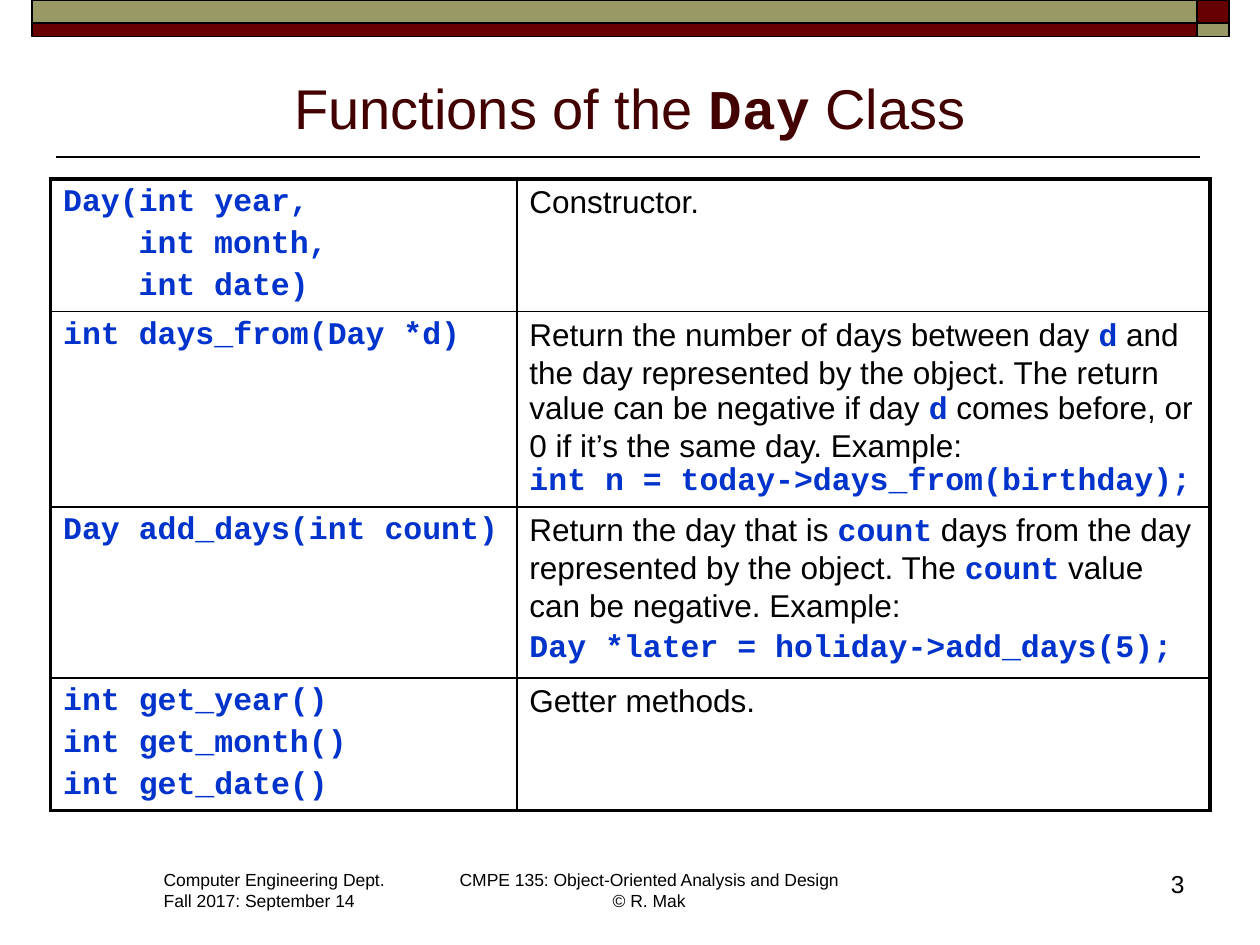
from dataclasses import dataclass

from lxml.etree import SubElement
from pptx import Presentation
from pptx.dml.color import RGBColor
from pptx.enum.shapes import MSO_CONNECTOR, MSO_SHAPE
from pptx.enum.text import MSO_ANCHOR, MSO_AUTO_SIZE, PP_ALIGN
from pptx.oxml.ns import qn
from pptx.util import Cm, Pt

COLORS = {"maroon": "660000", "olive": "999966", "title": "420000",
          "code": "0033CC", "text": "000000"}
CODE_INDENT = Cm(1.52)  # four characters of 18 pt code
THIN, THICK = 1, 2.25


@dataclass
class Span:
    text: str
    code: bool = False
    breaks: bool = False  # a line break follows


@dataclass
class Line:
    spans: list[Span]
    indented: bool = False


@dataclass
class FunctionRow:
    height: float
    signature: list[Line]
    description: list[Line]


@dataclass
class Footer:
    left: float
    width: float
    height: float
    size: float
    align: PP_ALIGN
    paragraphs: list[list[Span]]
    wrap: bool = False


def code(text: str, indented: bool = False) -> Line:
    return Line([Span(text, True)], indented)


FUNCTIONS = [
    FunctionRow(2.67,
                [code("Day(int year,"), code("int month,", True), code("int date)", True)],
                [Line([Span("Constructor.")])]),
    FunctionRow(3.94,
                [code("int days_from(Day *d)")],
                [Line([Span("Return the number of days between day "), Span("d", True),
                       Span(" and the day represented by the object. The return value "
                            "can be negative if day "), Span("d", True),
                       Span(" comes before, or 0 if it’s the same day. Example:", breaks=True),
                       Span("int n = today->days_from(birthday);", True)])]),
    FunctionRow(3.45,
                [code("Day add_days(int count)")],
                [Line([Span("Return the day that is "), Span("count", True),
                       Span(" days from the day represented by the object. The "),
                       Span("count", True), Span(" value can be negative. Example:")]),
                 code("Day *later = holiday->add_days(5);")]),
    FunctionRow(2.67,
                [code("int get_year()"), code("int get_month()"), code("int get_date()")],
                [Line([Span("Getter methods.")])]),
]

FOOTERS = [
    Footer(3.05, 5, 1.12, 10, PP_ALIGN.LEFT,
           [[Span("Computer Engineering Dept.")], [Span("Fall 2017: September 14")]]),
    Footer(8.97, 8.23, 1.12, 10, PP_ALIGN.CENTER,
           [[Span("CMPE 135: Object-Oriented Analysis and Design", breaks=True),
             Span("© R. Mak")]]),
    Footer(18.85, 5.28, 1.27, 14, PP_ALIGN.RIGHT, [[Span("3")]], wrap=True),
]


def rgb(name: str) -> RGBColor:
    return RGBColor.from_string(COLORS[name])


def add_spans(paragraph, spans: list[Span], size: float,
              color: str = "text", code_color: str = "code") -> None:
    for span in spans:
        run = paragraph.add_run()
        run.text = span.text
        run.font.size = Pt(size)
        run.font.bold = span.code
        run.font.name = "Courier New" if span.code else "Arial"
        run.font.color.rgb = rgb(code_color if span.code else color)
        if span.breaks:
            paragraph.add_line_break()


def add_bar(slide, left: float, top: float, width: float, height: float, color: str) -> None:
    bar = slide.shapes.add_shape(MSO_SHAPE.RECTANGLE, Cm(left), Cm(top), Cm(width), Cm(height))
    bar.shadow.inherit = False
    bar.fill.solid()
    bar.fill.fore_color.rgb = rgb(color)
    bar.line.color.rgb = rgb("text")
    bar.line.width = Pt(1)


def add_footer(slide, footer: Footer) -> None:
    box = slide.shapes.add_textbox(Cm(footer.left), Cm(17.4), Cm(footer.width), Cm(footer.height))
    frame = box.text_frame
    frame.word_wrap = footer.wrap
    for index, spans in enumerate(footer.paragraphs):
        paragraph = frame.add_paragraph() if index else frame.paragraphs[0]
        paragraph.alignment = footer.align
        add_spans(paragraph, spans, footer.size)


def set_borders(cell, widths: dict[str, float]) -> None:
    properties = cell._tc.get_or_add_tcPr()
    for side, width in widths.items():
        border = SubElement(properties, qn(f"a:ln{side}"), w=str(int(Pt(width))))
        fill = SubElement(border, qn("a:solidFill"))
        SubElement(fill, qn("a:srgbClr"), val=COLORS["text"])


def fill_cell(cell, lines: list[Line]) -> None:
    for index, line in enumerate(lines):
        frame = cell.text_frame
        paragraph = frame.add_paragraph() if index else frame.paragraphs[0]
        paragraph.space_before = Pt(3.6)
        if line.indented:
            paragraph._p.get_or_add_pPr().set("marL", str(int(CODE_INDENT)))
        add_spans(paragraph, line.spans, 18)


def add_function_table(slide, functions: list[FunctionRow]) -> None:
    widths = (9.4, 13.97)
    total = sum(row.height for row in functions)
    table = slide.shapes.add_table(len(functions), len(widths), Cm(1.02), Cm(3.61),
                                   Cm(sum(widths)), Cm(total)).table
    table.first_row = table.horz_banding = False
    for column, width in zip(table.columns, widths):
        column.width = Cm(width)
    last = len(functions) - 1
    for r, function in enumerate(functions):
        table.rows[r].height = Cm(function.height)
        for c, lines in enumerate((function.signature, function.description)):
            cell = table.cell(r, c)
            set_borders(cell, {"L": THIN if c else THICK, "R": THICK if c else THIN,
                               "T": THIN if r else THICK, "B": THICK if r == last else THIN})
            cell.fill.background()
            fill_cell(cell, lines)


def main() -> None:
    deck = Presentation()
    deck.slide_width, deck.slide_height = Cm(25.4), Cm(19.05)
    slide = deck.slides.add_slide(deck.slide_layouts[5])

    # Rule under the title
    rule = slide.shapes.add_connector(MSO_CONNECTOR.STRAIGHT,
                                      Cm(24.2), Cm(3.17), Cm(1.12), Cm(3.17))
    rule.line.color.rgb = rgb("text")
    rule.line.width = Pt(1)
    SubElement(rule._element.spPr, qn("a:effectLst"))

    # Top band: two rows with swapped colours
    for top, height, wide, narrow in ((0, 0.46, "olive", "maroon"),
                                      (0.46, 0.28, "maroon", "olive")):
        add_bar(slide, 0.64, top, 23.49, height, wide)
        add_bar(slide, 24.13, top, 0.64, height, narrow)

    # Title
    title = slide.shapes.title
    title.left, title.top, title.width, title.height = Cm(1.27), Cm(1.14), Cm(22.86), Cm(1.83)
    title.text_frame.vertical_anchor = MSO_ANCHOR.BOTTOM
    title.text_frame.auto_size = MSO_AUTO_SIZE.NONE
    heading = title.text_frame.paragraphs[0]
    heading.alignment = PP_ALIGN.CENTER
    add_spans(heading, [Span("Functions of the "), Span("Day", True), Span(" Class")],
              32, "title", "title")

    # Functions and footers
    add_function_table(slide, FUNCTIONS)
    for footer in FOOTERS:
        add_footer(slide, footer)

    deck.save("out.pptx")


if __name__ == "__main__":
    main()
